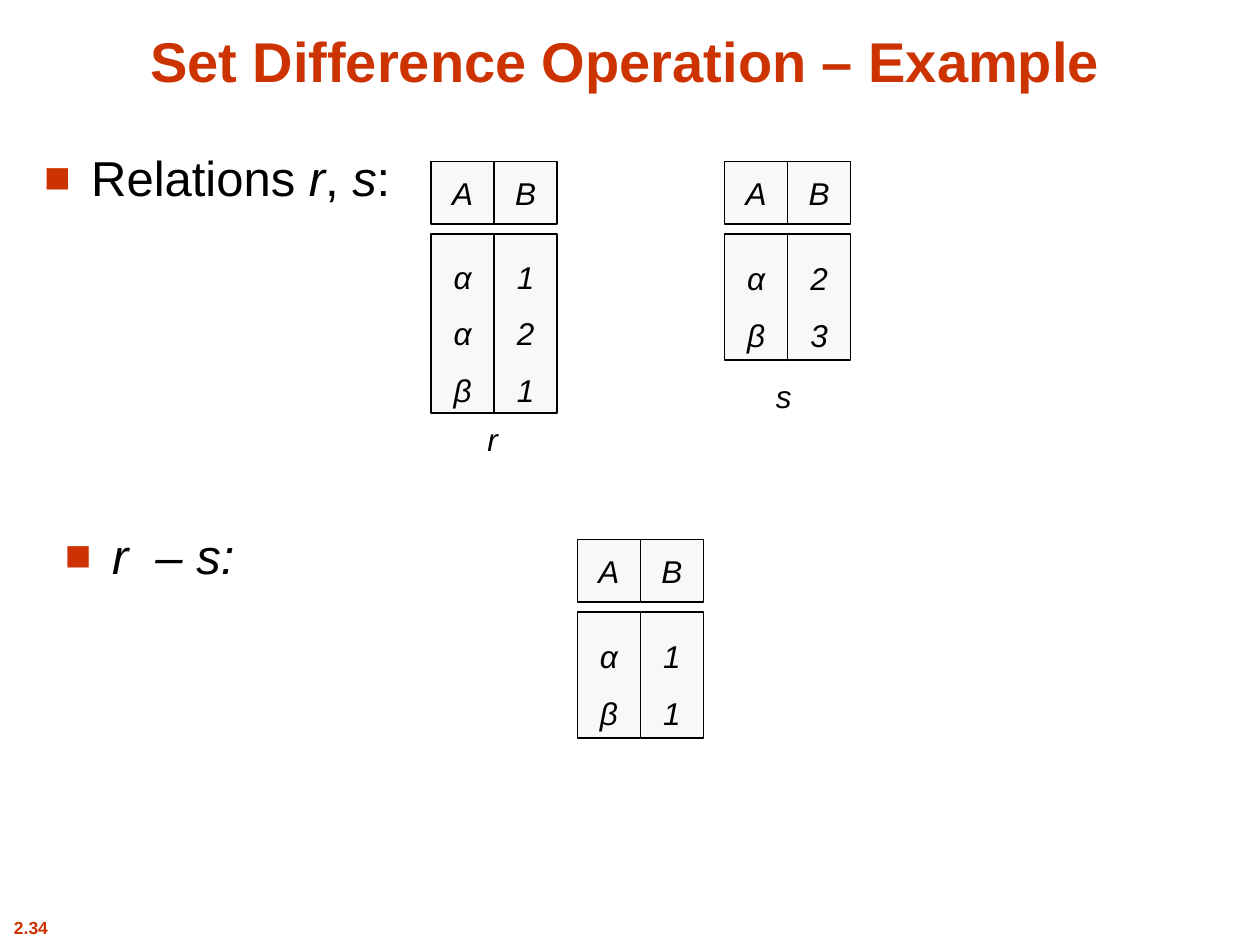
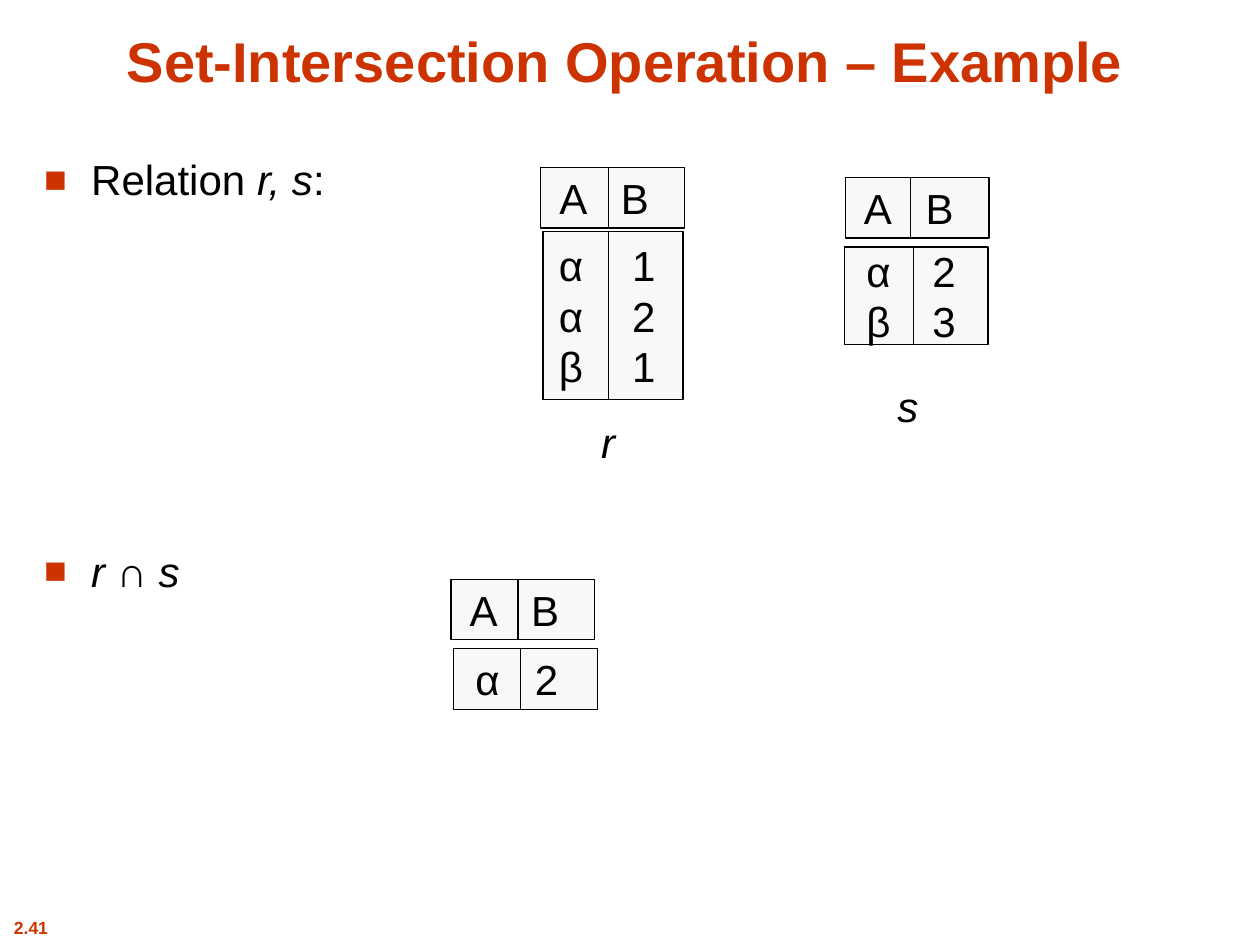
"""Build two slides that show set operations on small relations."""
from collections import namedtuple

from lxml import etree
from pptx import Presentation
from pptx.dml.color import RGBColor
from pptx.enum.shapes import MSO_CONNECTOR, MSO_SHAPE
from pptx.enum.text import MSO_ANCHOR, MSO_AUTO_SIZE, PP_ALIGN
from pptx.oxml.ns import qn
from pptx.util import Cm, Pt

STRAIGHT = MSO_CONNECTOR.STRAIGHT
RECTANGLE = MSO_SHAPE.RECTANGLE
TOP, MIDDLE, BOTTOM = MSO_ANCHOR.TOP, MSO_ANCHOR.MIDDLE, MSO_ANCHOR.BOTTOM
NO_FIT = MSO_AUTO_SIZE.NONE
LEFT, CENTER = PP_ALIGN.LEFT, PP_ALIGN.CENTER

COLORS = {"accent": "CC3300", "ink": "000000", "cell": "F8F8F8"}
FONT = "Arial"
TITLE_ONLY = 5
LINE_WIDTH = Pt(0.75)
HEADER_CENTERS = (0.66, 1.9)

Box = namedtuple("Box", "left top width height")
SLIDE = Box(0, 0, 25.4, 19.05)
TITLE = Box(0.64, 0.33, 23.93, 1.7)
NUMBER = Box(0, 18.36, 1.25, 0.69)


def color(name):
    """Return the named colour."""
    return RGBColor.from_string(COLORS[name])


def lengths(box):
    """Convert a box in centimetres to slide lengths."""
    return [Cm(value) for value in box]


def write(shape, lines, size=18, ink="ink", bold=False, italic=False,
          align=CENTER, anchor=MIDDLE, spacing=None, inset=(0, 0)):
    """Write lines, each a string or a list of (text, italic) spans."""
    frame = shape.text_frame
    frame.word_wrap = True
    frame.auto_size = NO_FIT
    frame.vertical_anchor = anchor
    frame.margin_left = frame.margin_right = Cm(inset[0])
    frame.margin_top = frame.margin_bottom = Cm(inset[1])
    for index, line in enumerate(lines):
        para = frame.add_paragraph() if index else frame.paragraphs[0]
        para.alignment = align
        para.line_spacing = spacing
        spans = [(line, italic)] if isinstance(line, str) else line
        for text, slanted in spans:
            span = para.add_run()
            span.text = text
            font = span.font
            font.name, font.size = FONT, Pt(size)
            font.bold, font.italic = bold, slanted
            font.color.rgb = color(ink)


def add_label(page, box, lines, **style):
    """Add a text box with the given lines."""
    label = page.shapes.add_textbox(*lengths(box))
    write(label, lines, **style)
    return label


def add_cell(page, box):
    """Add an outlined rectangle."""
    cell = page.shapes.add_shape(RECTANGLE, *lengths(box))
    cell.shadow.inherit = False
    cell.fill.solid()
    cell.fill.fore_color.rgb = color("cell")
    cell.line.color.rgb = color("ink")
    cell.line.width = LINE_WIDTH
    return cell


def add_divider(page, box, offset):
    """Draw a vertical line through a box."""
    x = Cm(box.left + offset)
    line = page.shapes.add_connector(
        STRAIGHT, x, Cm(box.top), x, Cm(box.top + box.height))
    line.line.color.rgb = color("ink")
    line.line.width = LINE_WIDTH
    etree.SubElement(line.element.spPr, qn("a:effectLst"))


def add_bullet(page, box, spans, size, spacing=None):
    """Add one paragraph with a square bullet."""
    label = add_label(page, box, [spans], size=size, align=LEFT, anchor=TOP,
                      spacing=spacing, inset=(0.25, 0.13))
    properties = label.text_frame.paragraphs[0]._p.get_or_add_pPr()
    properties.set("marL", str(Cm(0.95)))
    properties.set("indent", str(-Cm(0.95)))
    tint = etree.SubElement(properties, qn("a:buClr"))
    etree.SubElement(tint, qn("a:srgbClr"), val=COLORS["accent"])
    etree.SubElement(properties, qn("a:buSzPct"), val="90000")
    etree.SubElement(properties, qn("a:buFont"), typeface=FONT)
    etree.SubElement(properties, qn("a:buChar"), char="■")


def add_page(deck, title, number):
    """Add a slide with its title and number."""
    page = deck.slides.add_slide(deck.slide_layouts[TITLE_ONLY])
    heading = page.shapes.title
    heading.left, heading.top, heading.width, heading.height = lengths(TITLE)
    write(heading, [title], size=32, ink="accent", bold=True,
          anchor=BOTTOM, inset=(0.25, 0.13))
    add_label(page, NUMBER, [number], size=10, ink="accent", bold=True)
    return page


def add_cell_relation(page, box, columns):
    """Draw a relation as header cells above one tall cell per column."""
    side, gap = box.width / len(columns), 0.2
    body_top = box.top + side + gap
    body_height = box.height - side - gap
    for index, (name, *values) in enumerate(columns):
        left = box.left + index * side
        header = add_cell(page, Box(left, box.top, side, side))
        write(header, [name], italic=True)
        body = add_cell(page, Box(left, body_top, side, body_height))
        write(body, values, italic=True, spacing=1.5)


def add_split_panel(page, box, divider, centers, columns):
    """Draw a rectangle split by a line, with one text column per centre."""
    add_cell(page, box)
    add_divider(page, box, divider)
    for center, values in zip(centers, columns):
        column = Box(box.left + center - 0.5, box.top, 1, box.height)
        add_label(page, column, values, size=24)


def build_difference(deck):
    """Build the set difference slide."""
    page = add_page(deck, "Set Difference Operation – Example", "2.34")
    add_bullet(page, Box(0.64, 2.97, 7.9, 1.7),
               [("Relations ", False), ("r", True), (", ", False),
                ("s", True), (":", False)], 28, 0.9)
    add_bullet(page, Box(1.06, 10.59, 5.5, 1.7), [("r  – s:", True)], 28, 0.9)
    relations = [
        (Box(8.69, 3.25, 2.54, 5.08), ("Aααβ", "B121")),
        (Box(14.61, 3.25, 2.54, 4.01), ("Aαβ", "B23")),
        (Box(11.64, 10.87, 2.54, 4.01), ("Aαβ", "B11")),
    ]
    for box, columns in relations:
        add_cell_relation(page, box, columns)
    add_label(page, Box(9.43, 8.33, 1, 1.02), ["r"], italic=True)
    add_label(page, Box(15.3, 7.47, 1, 1.02), ["s"], italic=True)


def build_intersection(deck):
    """Build the set intersection slide."""
    page = add_page(deck, "Set-Intersection Operation – Example", "2.41")
    add_bullet(page, Box(0.64, 2.97, 9, 1.5),
               [("Relation ", False), ("r, s", True), (":", False)], 24)
    add_bullet(page, Box(0.64, 10.87, 7, 1.5),
               [("r ", True), ("∩ ", False), ("s", True)], 24)
    panels = [
        (Box(10.9, 3.38, 2.9, 1.22), 1.37, HEADER_CENTERS, "AB"),
        (Box(10.95, 4.67, 2.82, 3.38), 1.32, (0.56, 2.03), ("ααβ", "121")),
        (Box(17.04, 3.58, 2.9, 1.22), 1.32, HEADER_CENTERS, "AB"),
        (Box(17.02, 4.98, 2.9, 1.96), 1.4, (0.69, 2.01), ("αβ", "23")),
        (Box(9.09, 11.68, 2.9, 1.22), 1.35, HEADER_CENTERS, "AB"),
        (Box(9.14, 13.08, 2.9, 1.22), 1.35, (0.69, 1.88), "α2"),
    ]
    for panel in panels:
        add_split_panel(page, *panel)
    add_label(page, Box(11.76, 8.26, 1, 1.27), ["r"], size=24, italic=True)
    add_label(page, Box(17.8, 7.54, 1, 1.27), ["s"], size=24, italic=True)


def main():
    """Build and save the deck."""
    deck = Presentation()
    deck.slide_width, deck.slide_height = Cm(SLIDE.width), Cm(SLIDE.height)
    build_difference(deck)
    build_intersection(deck)
    deck.save("out.pptx")


if __name__ == "__main__":
    main()
